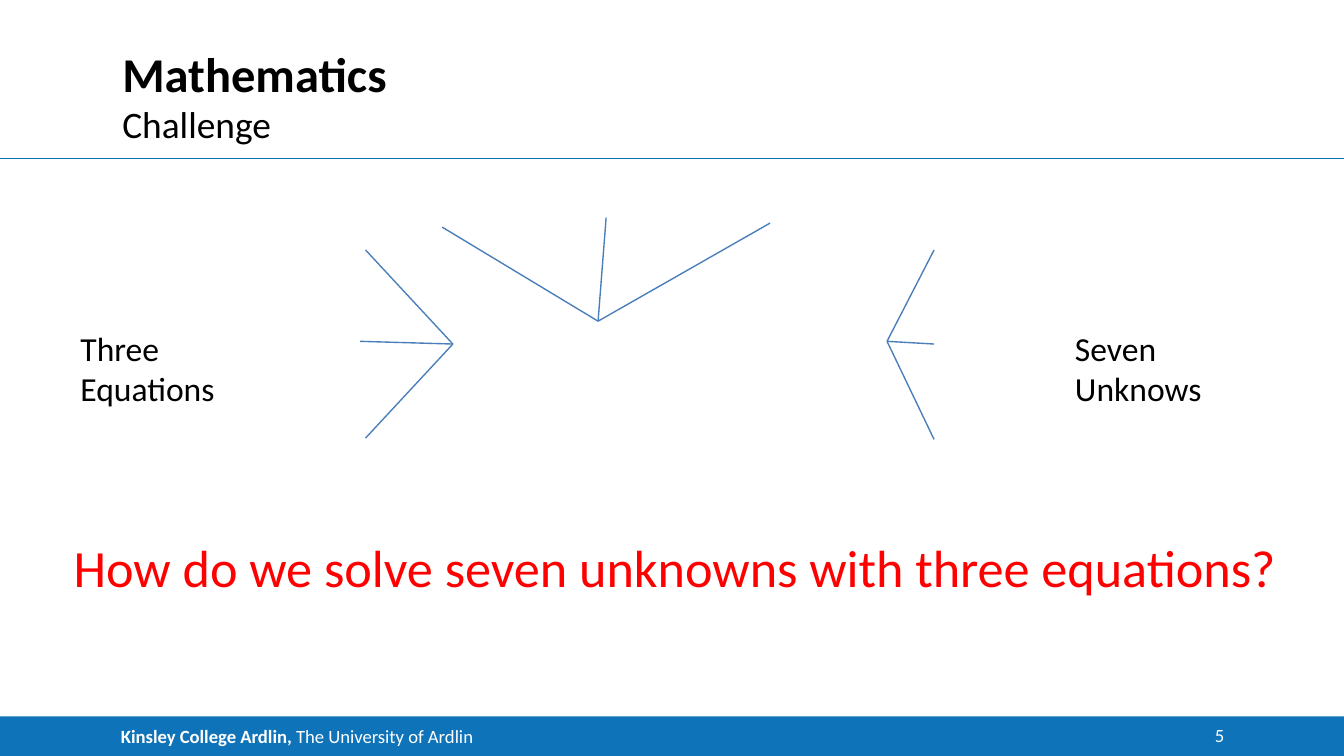
"""Build the Mathematics challenge slide with its three fans of lines."""
from dataclasses import dataclass

from lxml import etree
from pptx import Presentation
from pptx.dml.color import RGBColor
from pptx.enum.shapes import MSO_CONNECTOR, MSO_SHAPE
from pptx.enum.text import MSO_ANCHOR, MSO_AUTO_SIZE, PP_ALIGN
from pptx.oxml.ns import qn
from pptx.shapes.base import BaseShape
from pptx.slide import Slide
from pptx.text.text import TextFrame
from pptx.util import Inches, Pt

STRAIGHT = MSO_CONNECTOR.STRAIGHT
RECT = MSO_SHAPE.RECTANGLE
TOP, MIDDLE, BOTTOM = MSO_ANCHOR.TOP, MSO_ANCHOR.MIDDLE, MSO_ANCHOR.BOTTOM
LEFT, RIGHT = PP_ALIGN.LEFT, PP_ALIGN.RIGHT
NO_FIT = MSO_AUTO_SIZE.NONE

Point = tuple[float, float]
Box = tuple[float, float, float, float]


@dataclass(frozen=True)
class Theme:
    font: str = "Calibri"
    brand: str = "0E73B9"
    ray: str = "4A7EBB"
    ink: str = "000000"
    paper: str = "FFFFFF"
    alert: str = "FF0000"
    head: int = 26
    sub: int = 20
    label: int = 18
    query: int = 28
    foot: int = 10
    line: float = 0.75


@dataclass(frozen=True)
class Fan:
    hub: Point
    tips: tuple[Point, ...]


@dataclass(frozen=True)
class Note:
    text: str
    box: Box
    size: int
    color: str


THEME = Theme()
WIDTH = 10
HEIGHT = WIDTH * 9 / 16
MARGIN, SPAN = 0.91, 8.2
BAR_TOP = 5.33

FANS = (
    Fan((3.37, 2.56), ((2.72, 1.86), (2.68, 2.54), (2.72, 3.26))),
    Fan((4.45, 2.39), ((3.29, 1.69), (4.51, 1.62), (5.73, 1.66))),
    Fan((6.6, 2.54), ((6.95, 1.86), (6.95, 2.56), (6.95, 3.27))),
)
NOTES = (
    Note("Three Equations", (0.5, 2.39, 1.22, 1), THEME.label, THEME.ink),
    Note("Seven Unknows", (7.9, 2.39, 1.22, 1), THEME.label, THEME.ink),
    Note("How do we solve seven unknowns with three equations?",
         (0.45, 3.93, 9.27, 1.03), THEME.query, THEME.alert),
)


def add_run(frame: TextFrame, text: str, size: int, color: str,
            bold: bool = False) -> None:
    run = frame.paragraphs[0].add_run()
    run.text = text
    run.font.name = THEME.font
    run.font.size = Pt(size)
    run.font.bold = bold
    run.font.color.rgb = RGBColor.from_string(color)


def set_frame(frame: TextFrame, anchor: MSO_ANCHOR, align: PP_ALIGN,
              left: float = 0) -> None:
    frame.word_wrap = True
    frame.auto_size = NO_FIT
    frame.vertical_anchor = anchor
    frame.margin_left = Inches(left)
    frame.margin_right = frame.margin_top = frame.margin_bottom = 0
    frame.paragraphs[0].alignment = align


def place(shape: BaseShape, box: Box) -> None:
    shape.left, shape.top, shape.width, shape.height = map(Inches, box)


def add_line(slide: Slide, start: Point, end: Point, color: str) -> None:
    line = slide.shapes.add_connector(STRAIGHT, *map(Inches, start + end))
    line.line.color.rgb = RGBColor.from_string(color)
    line.line.width = Pt(THEME.line)
    etree.SubElement(line._element.spPr, qn("a:effectLst"))


def add_fan(slide: Slide, fan: Fan) -> None:
    for tip in fan.tips:
        add_line(slide, tip, fan.hub, THEME.ray)


def add_note(slide: Slide, note: Note) -> None:
    frame = slide.shapes.add_textbox(*map(Inches, note.box)).text_frame
    frame.word_wrap = True
    add_run(frame, note.text, note.size, note.color)


def add_foot(slide: Slide) -> None:
    box = (0, BAR_TOP, WIDTH, HEIGHT - BAR_TOP)
    bar = slide.shapes.add_shape(RECT, *map(Inches, box))
    bar.shadow.inherit = False
    bar.fill.solid()
    bar.fill.fore_color.rgb = RGBColor.from_string(THEME.brand)
    bar.line.fill.background()
    set_frame(bar.text_frame, MIDDLE, LEFT, 0.9)
    add_run(bar.text_frame, "Kinsley College Ardlin, ", THEME.foot,
            THEME.paper, True)
    add_run(bar.text_frame, "The University of Ardlin", THEME.foot, THEME.paper)


def add_page(slide: Slide) -> None:
    box = slide.shapes.add_textbox(*map(Inches, (8.79, 5.34, 0.32, 0.21)))
    set_frame(box.text_frame, BOTTOM, RIGHT)
    add_run(box.text_frame, "5", THEME.foot, THEME.paper)


def add_heads(slide: Slide) -> None:
    title, body = slide.shapes.title, slide.placeholders[1]
    place(title, (MARGIN, 0.3, SPAN, 0.46))
    set_frame(title.text_frame, BOTTOM, LEFT)
    add_run(title.text_frame, "Mathematics", THEME.head, THEME.ink, True)
    place(body, (MARGIN, 0.75, SPAN, 0.3))
    set_frame(body.text_frame, TOP, LEFT)
    first = body.text_frame.paragraphs[0]
    first.space_before = Pt(0)
    props = first._p.get_or_add_pPr()
    props.set("marL", "0")
    props.set("indent", "0")
    etree.SubElement(props, qn("a:buNone"))
    add_run(body.text_frame, "Challenge", THEME.sub, THEME.ink)


def main() -> None:
    deck = Presentation()
    deck.slide_width, deck.slide_height = Inches(WIDTH), Inches(HEIGHT)
    slide = deck.slides.add_slide(deck.slide_layouts[1])
    add_foot(slide)
    add_line(slide, (0, 1.18), (WIDTH, 1.18), THEME.brand)
    add_heads(slide)
    for fan in FANS:
        add_fan(slide, fan)
    for note in NOTES:
        add_note(slide, note)
    add_page(slide)
    deck.save("out.pptx")


if __name__ == "__main__":
    main()
